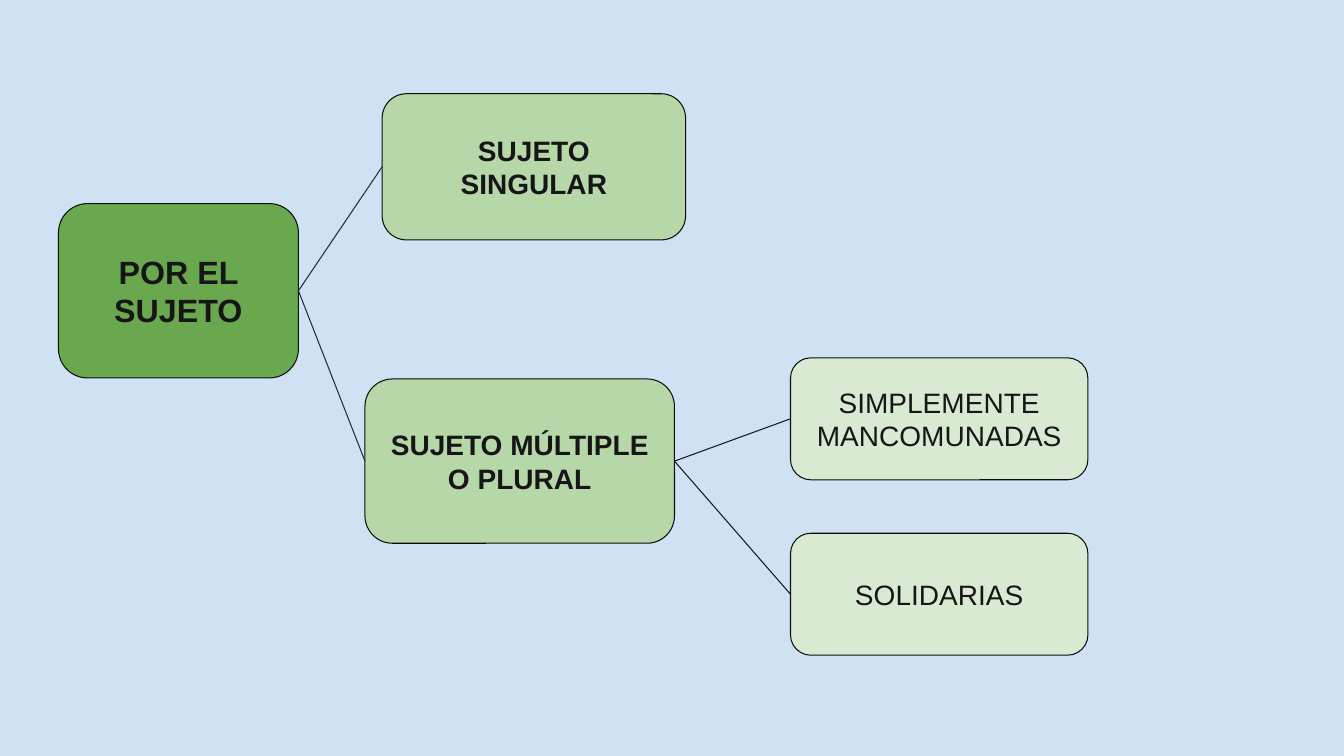
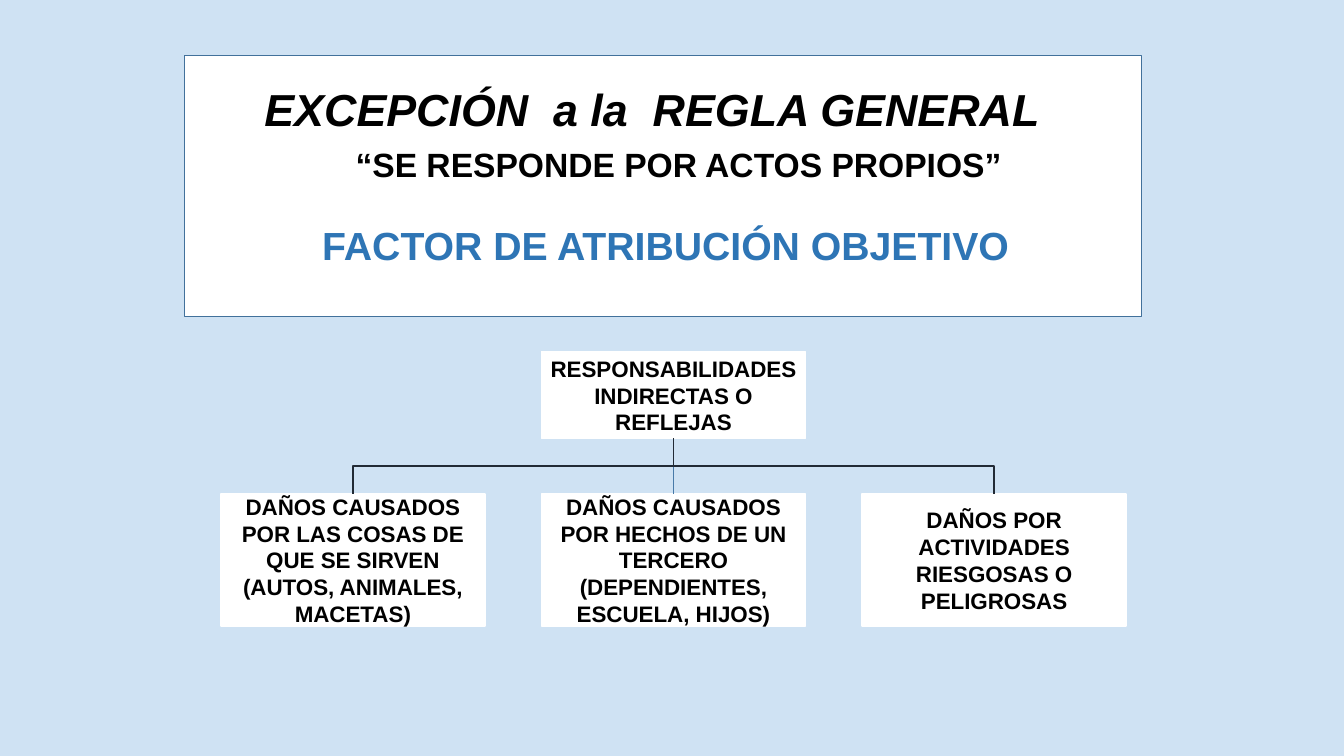
from dataclasses import dataclass

from lxml import etree
from pptx import Presentation
from pptx.dml.color import RGBColor
from pptx.enum.shapes import MSO_CONNECTOR, MSO_SHAPE
from pptx.enum.text import MSO_ANCHOR, PP_ALIGN
from pptx.oxml.ns import qn
from pptx.util import Inches, Pt

RECT = MSO_SHAPE.RECTANGLE
ROUNDED = MSO_SHAPE.ROUNDED_RECTANGLE
STRAIGHT = MSO_CONNECTOR.STRAIGHT
CENTER = PP_ALIGN.CENTER
TOP, MIDDLE = MSO_ANCHOR.TOP, MSO_ANCHOR.MIDDLE
TOP_SITE, LEFT_SITE, BOTTOM_SITE, RIGHT_SITE = range(4)

FONT = "Arial"
COLORS = {
    "background": "CFE2F3",
    "root": "6AA84F",
    "branch": "B6D7A8",
    "leaf": "D9EAD3",
    "outline": "0C0C0C",
    "ink": "171616",
    "black": "000000",
    "white": "FFFFFF",
    "link": "222A35",
    "panel_line": "42719B",
    "stem": "487AA8",
    "accent": "2E75B5",
}


@dataclass
class Box:
    left: float
    top: float
    width: float
    height: float
    fill: str
    line: str
    weight: float
    kind: int = RECT
    margins: tuple = (0.01, 0.01, 0.01, 0.01)
    anchor: int = MIDDLE


@dataclass
class Node:
    lines: list
    place: tuple
    fill: str
    size: int = 20
    bold: bool = True


@dataclass
class Link:
    start: str
    end: str
    color: str


def rgb(name: str) -> RGBColor:
    return RGBColor.from_string(COLORS[name])


def add_slide(prs):
    s = prs.slides.add_slide(prs.slide_layouts[6])
    s.background.fill.solid()
    s.background.fill.fore_color.rgb = rgb("background")
    return s


def add_box(s, box: Box):
    sp = s.shapes.add_shape(box.kind, *map(Inches, (box.left, box.top, box.width, box.height)))
    sp.shadow.inherit = False
    sp.fill.solid()
    sp.fill.fore_color.rgb = rgb(box.fill)
    sp.line.color.rgb = rgb(box.line)
    sp.line.width = Pt(box.weight)
    tf = sp.text_frame
    tf.word_wrap = True
    tf.vertical_anchor = box.anchor
    tf.margin_left, tf.margin_top, tf.margin_right, tf.margin_bottom = map(Inches, box.margins)
    return sp


def add_text(sp, text: str, *, size: float, color: str = "black", bold: bool = True,
             italic: bool = False, before: float = 0, spacing: float = 1.0,
             indent_left: float = 0, indent_right: float = 0) -> None:
    tf = sp.text_frame
    p = tf.add_paragraph() if tf.text else tf.paragraphs[0]
    p.alignment = CENTER
    p.line_spacing = spacing
    p.space_before = Pt(before)
    pPr = p._p.get_or_add_pPr()
    pPr.set("marL", str(Inches(indent_left)))
    pPr.set("marR", str(Inches(indent_right)))
    r = p.add_run()
    r.text = text
    r.font.name = FONT
    r.font.size = Pt(size)
    r.font.bold = bold
    r.font.italic = italic
    r.font.color.rgb = rgb(color)


def add_link(s, start, start_site: int, end, end_site: int, color: str, weight: float) -> None:
    c = s.shapes.add_connector(STRAIGHT, 0, 0, 0, 0)
    c.begin_connect(start, start_site)
    c.end_connect(end, end_site)
    c.line.color.rgb = rgb(color)
    c.line.width = Pt(weight)
    etree.SubElement(c._element.spPr, qn("a:effectLst"))


def add_elbow(s, parent, child) -> None:
    x1, y1 = parent.left + parent.width // 2, parent.top + parent.height
    x2, y2 = child.left + child.width // 2, child.top
    mid = (y1 + y2) // 2
    fb = s.shapes.build_freeform(x1, y1)
    fb.add_line_segments([(x1, mid), (x2, mid), (x2, y2)], close=False)
    sp = fb.convert_to_shape()
    sp.shadow.inherit = False
    sp.fill.background()
    sp.line.color.rgb = rgb("link")
    sp.line.width = Pt(1)


def subject_slide(prs) -> None:
    s = add_slide(prs)
    nodes = {
        "subject": Node(["POR EL SUJETO"], (0.58, 2.02, 2.38, 1.73), "root", size=23),
        "single": Node(["SUJETO", "SINGULAR"], (3.79, 0.93, 3.01, 1.45), "branch"),
        "plural": Node(["SUJETO MÚLTIPLE", "O PLURAL"], (3.62, 3.76, 3.07, 1.63), "branch"),
        "joint": Node(["SIMPLEMENTE", "MANCOMUNADAS"], (7.84, 3.55, 2.95, 1.21), "leaf",
                      bold=False),
        "several": Node(["SOLIDARIAS"], (7.84, 5.29, 2.95, 1.21), "leaf", bold=False),
    }
    links = [
        Link("subject", "single", "link"),
        Link("subject", "plural", "link"),
        Link("plural", "joint", "ink"),
        Link("plural", "several", "ink"),
    ]
    shapes = {}
    for name, node in nodes.items():
        sp = add_box(s, Box(*node.place, node.fill, "outline", 0.75, ROUNDED,
                            (0.1, 0.05, 0.1, 0.05)))
        for line in node.lines:
            add_text(sp, line, size=node.size, color="ink", bold=node.bold)
        shapes[name] = sp
    for link in links:
        add_link(s, shapes[link.start], RIGHT_SITE, shapes[link.end], LEFT_SITE,
                 link.color, 0.75)


def exception_slide(prs) -> None:
    s = add_slide(prs)
    panel = add_box(s, Box(1.83, 0.55, 9.49, 2.59, "white", "panel_line", 1,
                           margins=(0.15, 0.32, 0.1, 0.05), anchor=TOP))
    add_text(panel, "EXCEPCIÓN  a la  REGLA GENERAL", size=32, italic=True,
             spacing=0.9, indent_right=0.26)
    add_text(panel, "“SE RESPONDE POR ACTOS PROPIOS”", size=24, before=9,
             spacing=0.9, indent_left=0.26)
    add_text(panel, "FACTOR DE ATRIBUCIÓN OBJETIVO", size=28, color="accent",
             before=30, spacing=0.9)

    left, pitch, width = 2.19, 3.18, 2.62
    parent = add_box(s, Box(left + pitch, 3.49, width, 0.86, "white", "white", 1))
    for line in ("RESPONSABILIDADES", "INDIRECTAS O", "REFLEJAS"):
        add_text(parent, line, size=16)
    damages = [
        "DAÑOS CAUSADOS POR LAS COSAS DE QUE SE SIRVEN (AUTOS, ANIMALES, MACETAS)",
        "DAÑOS CAUSADOS POR HECHOS DE UN TERCERO (DEPENDIENTES, ESCUELA, HIJOS)",
        "DAÑOS POR ACTIVIDADES RIESGOSAS O PELIGROSAS",
    ]
    children = []
    for i, text in enumerate(damages):
        sp = add_box(s, Box(left + i * pitch, 4.9, width, 1.31, "white", "white", 1))
        add_text(sp, text, size=16)
        children.append(sp)
    first, middle, last = children
    add_link(s, parent, BOTTOM_SITE, middle, TOP_SITE, "stem", 1)
    add_elbow(s, parent, first)
    add_elbow(s, parent, last)


def main() -> None:
    prs = Presentation()
    prs.slide_width, prs.slide_height = Inches(13.33), Inches(7.5)
    subject_slide(prs)
    exception_slide(prs)
    prs.save("out.pptx")


if __name__ == "__main__":
    main()
